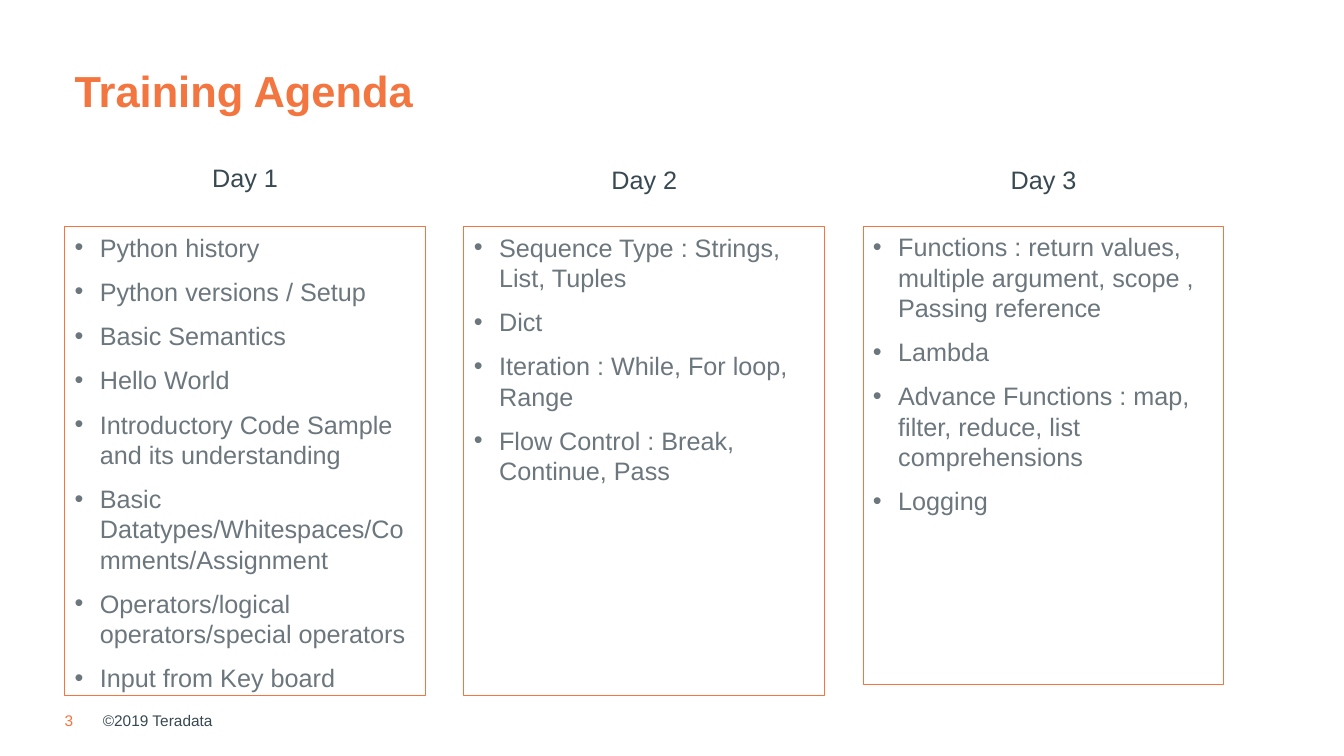
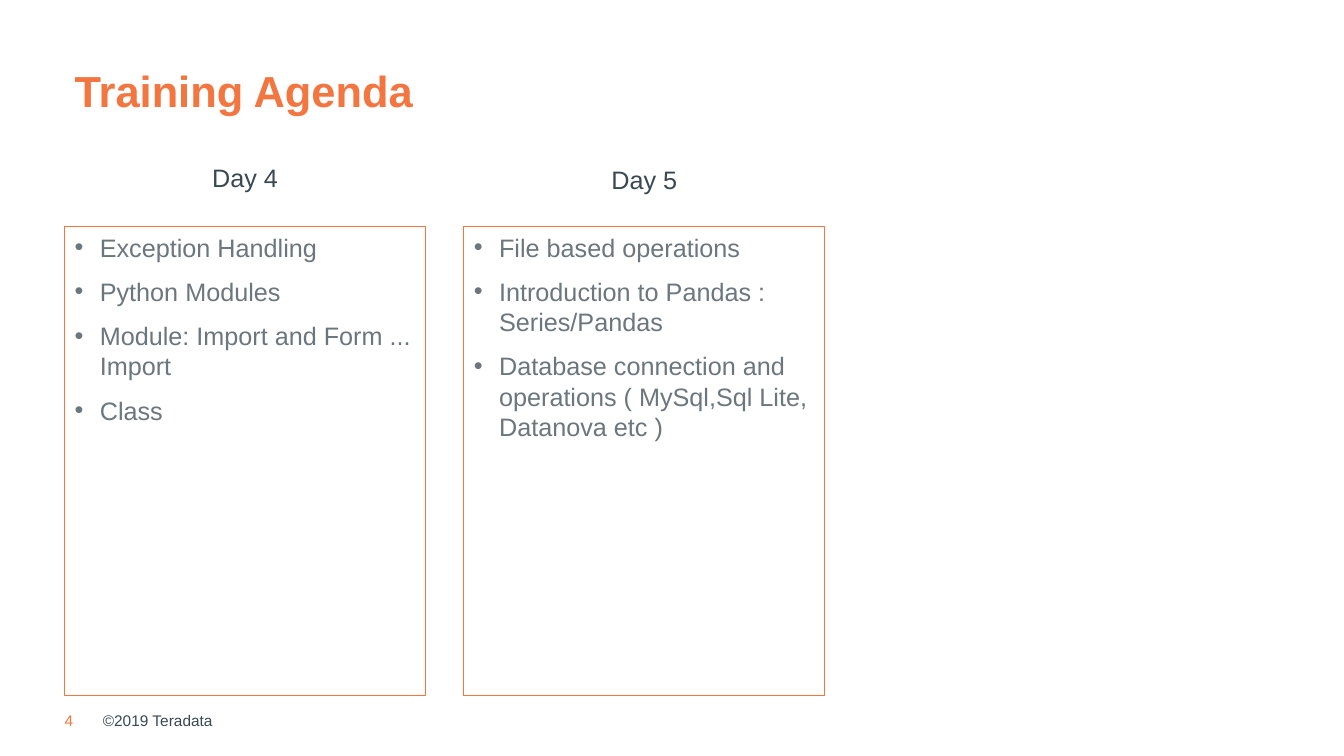
from lxml.etree import SubElement
from pptx import Presentation
from pptx.dml.color import RGBColor
from pptx.enum.text import MSO_ANCHOR as Anchor, MSO_AUTO_SIZE as AutoSize, PP_ALIGN as Align
from pptx.oxml.ns import qn
from pptx.util import Inches, Pt

ORANGE = RGBColor(0xF3, 0x75, 0x3F)
SLATE = RGBColor(0x38, 0x49, 0x51)
GRAY = RGBColor(0x6B, 0x76, 0x7D)
WHITE = RGBColor(0xFF, 0xFF, 0xFF)
FONT = "Arial"

# Column grid, in inches
LEFT = 0.64
COLUMN_WIDTH = 3.58
COLUMN_STEP = 3.96
CONTENT_WIDTH = 2 * COLUMN_STEP + COLUMN_WIDTH
HEADING_TOPS = (1.56, 1.58, 1.58)
HEADING_HEIGHT = 0.41
LIST_TOP = 2.25
LIST_HEIGHTS = (4.65, 4.65, 4.54)
FOOTER_TOP, FOOTER_HEIGHT = 7.05, 0.19

COMPARISON_LAYOUT = 4
HEADING_IDS, LIST_IDS = (1, 3), (2, 4)

TITLE = "Training Agenda"
COPYRIGHT = "©2019 Teradata"
FIRST_NUMBER = 3
AGENDA = [
    [
        ("Day 1", ["Python history", "Python versions / Setup", "Basic Semantics",
                   "Hello World", "Introductory Code Sample and its understanding",
                   "Basic Datatypes/Whitespaces/Comments/Assignment",
                   "Operators/logical operators/special operators",
                   "Input from Key board"]),
        ("Day 2", ["Sequence Type : Strings, List, Tuples", "Dict",
                   "Iteration : While, For loop, Range",
                   "Flow Control : Break, Continue, Pass"]),
        ("Day 3", ["Functions : return values, multiple argument, scope , Passing reference",
                   "Lambda",
                   "Advance Functions : map, filter, reduce, list comprehensions",
                   "Logging"]),
    ],
    [
        ("Day 4", ["Exception Handling", "Python Modules",
                   "Module: Import and Form ... Import", "Class"]),
        ("Day 5", ["File based operations", "Introduction to Pandas : Series/Pandas",
                   "Database connection and operations ( MySql,Sql Lite, Datanova etc )"]),
    ],
]


def place(shape, left, top, width, height):
    shape.left, shape.top = Inches(left), Inches(top)
    shape.width, shape.height = Inches(width), Inches(height)


def write(shape, lines, size, color, bold=False, align=Align.LEFT, anchor=Anchor.TOP):
    """Fill a shape with one paragraph per line in a single style."""
    frame = shape.text_frame
    frame.text = "\n".join(lines)
    frame.word_wrap = True
    frame.auto_size = AutoSize.NONE
    frame.vertical_anchor = anchor
    for number, paragraph in enumerate(frame.paragraphs):
        paragraph.alignment = align
        paragraph.space_before = Pt(10 if number else 0)
        for run in paragraph.runs:
            font = run.font
            font.name, font.size, font.bold = FONT, Pt(size), bold
            font.color.rgb = color


def add_bullets(shape):
    for paragraph in shape.text_frame.paragraphs:
        properties = paragraph._p.get_or_add_pPr()
        properties.set("marL", str(Inches(0.25)))
        properties.set("indent", str(-Inches(0.25)))
        SubElement(properties, qn("a:buFont")).set("typeface", FONT)
        SubElement(properties, qn("a:buChar")).set("char", "•")


def text_holder(slide, ids, column):
    """Use the layout's placeholder, or a text box for a column beyond them."""
    if column < len(ids):
        return slide.placeholders[ids[column]]
    return slide.shapes.add_textbox(0, 0, 0, 0)


def add_day(slide, column, heading, topics):
    left = LEFT + column * COLUMN_STEP

    day = text_holder(slide, HEADING_IDS, column)
    place(day, left, HEADING_TOPS[column], COLUMN_WIDTH, HEADING_HEIGHT)
    write(day, [heading], 18, SLATE, align=Align.CENTER)

    topic_list = text_holder(slide, LIST_IDS, column)
    place(topic_list, left, LIST_TOP, COLUMN_WIDTH, LIST_HEIGHTS[column])
    if column == 0:
        topic_list.fill.solid()
        topic_list.fill.fore_color.rgb = WHITE
    topic_list.line.color.rgb = ORANGE
    topic_list.line.width = Pt(0.75)
    write(topic_list, topics, 18, GRAY)
    add_bullets(topic_list)


def add_title(slide):
    title = slide.shapes.title
    place(title, LEFT, 0.43, CONTENT_WIDTH, 0.78)
    write(title, [TITLE], 31, ORANGE, bold=True, anchor=Anchor.BOTTOM)
    title.text_frame.paragraphs[0].line_spacing = 0.9


def add_footer_text(slide, text, left, width, color):
    box = slide.shapes.add_textbox(0, 0, 0, 0)
    place(box, left, FOOTER_TOP, width, FOOTER_HEIGHT)
    write(box, [text], 11, color, anchor=Anchor.MIDDLE)
    frame = box.text_frame
    frame.margin_left = frame.margin_right = frame.margin_top = frame.margin_bottom = 0


def main():
    presentation = Presentation()
    presentation.slide_width, presentation.slide_height = Inches(13.33), Inches(7.5)
    layout = presentation.slide_layouts[COMPARISON_LAYOUT]
    for number, days in enumerate(AGENDA, FIRST_NUMBER):
        slide = presentation.slides.add_slide(layout)
        add_title(slide)
        for column, (heading, topics) in enumerate(days):
            add_day(slide, column, heading, topics)
        # Footer: page number and copyright
        add_footer_text(slide, str(number), LEFT, 0.19, ORANGE)
        add_footer_text(slide, COPYRIGHT, 1.02, 3, SLATE)
    presentation.save("out.pptx")


if __name__ == "__main__":
    main()
